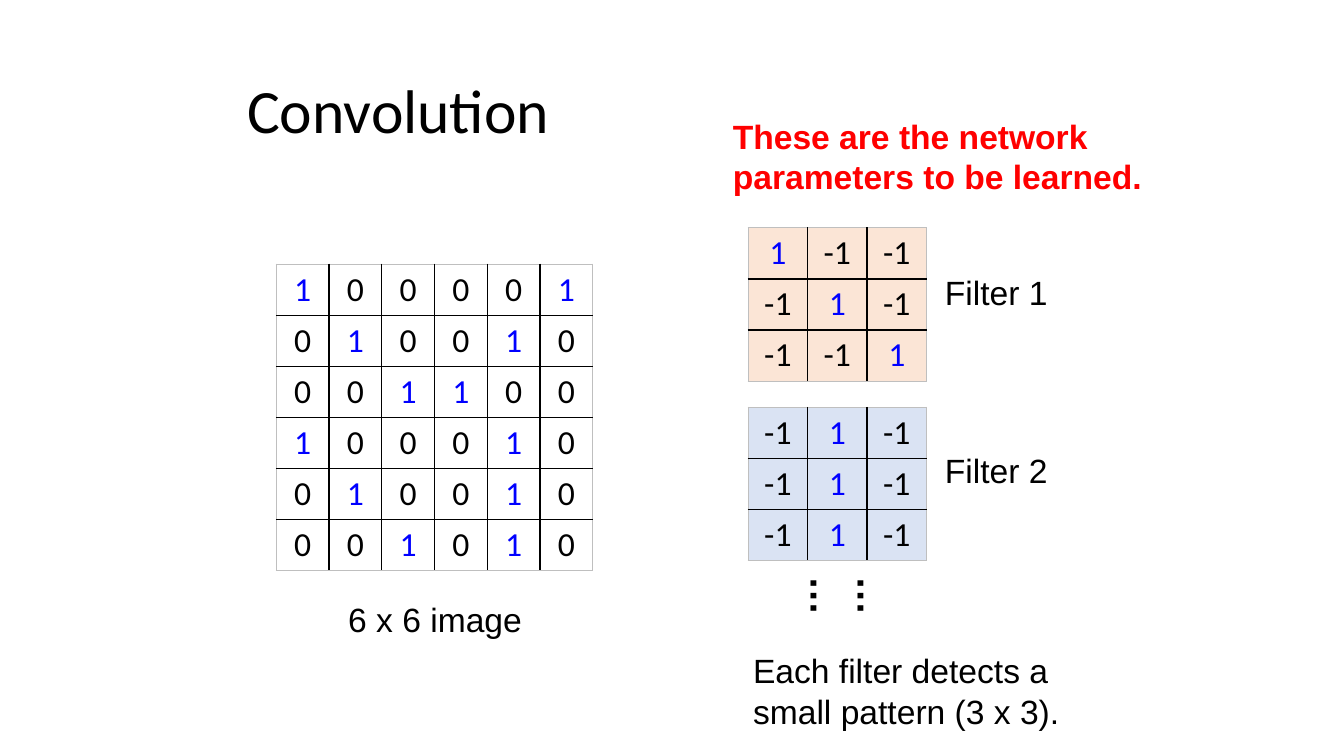
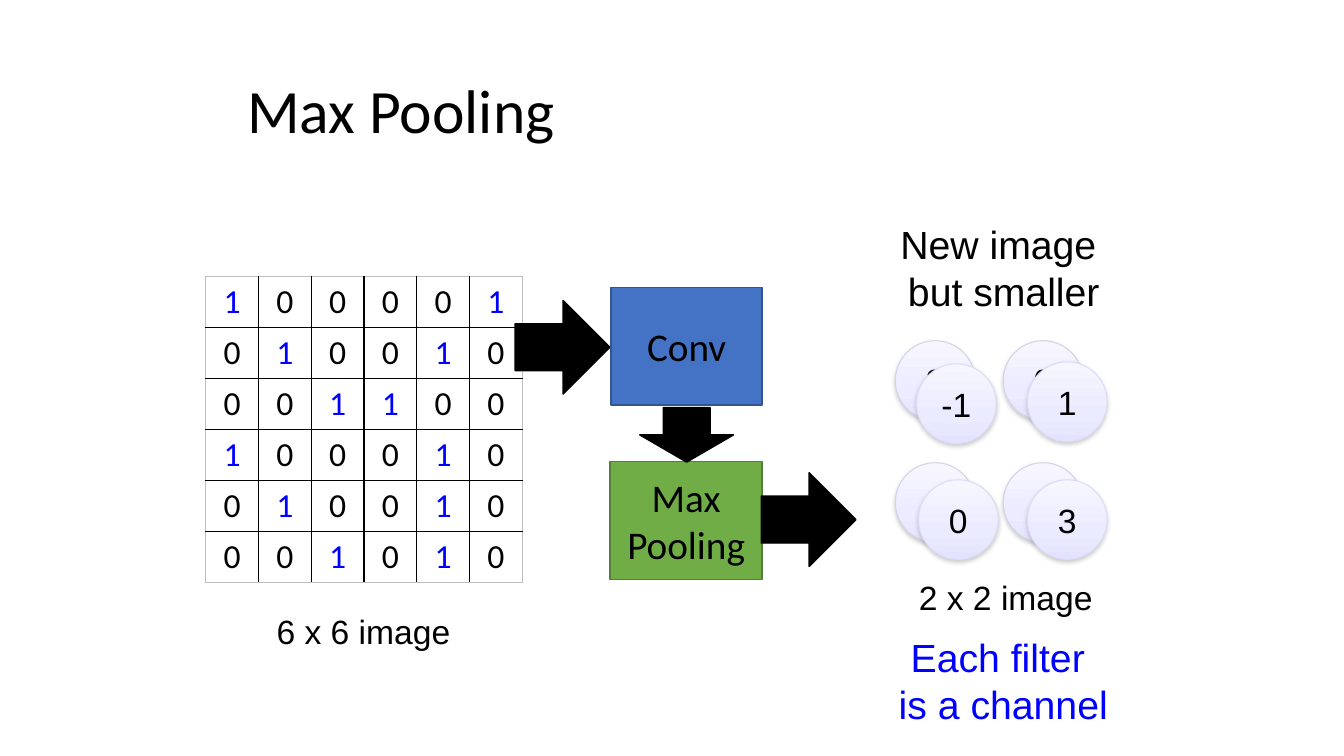
from copy import deepcopy

from lxml import etree
from pptx import Presentation
from pptx.dml.color import RGBColor
from pptx.enum.shapes import MSO_SHAPE
from pptx.enum.text import MSO_ANCHOR, PP_ALIGN
from pptx.oxml import parse_xml
from pptx.oxml.ns import nsdecls, qn
from pptx.util import Inches, Pt

LEFT, CENTER = PP_ALIGN.LEFT, PP_ALIGN.CENTER
MIDDLE = MSO_ANCHOR.MIDDLE
RECTANGLE, OVAL, RIGHT_ARROW = MSO_SHAPE.RECTANGLE, MSO_SHAPE.OVAL, MSO_SHAPE.RIGHT_ARROW
TITLE_ONLY = 5

COLORS = {
    "black": "000000", "blue": "0000FF", "red": "FF0000", "edge": "BFBFBF",
    "peach": "FBE5D6", "sky": "DAE3F3",
    "conv": "4472C4", "conv_line": "325491",
    "pool": "70AD47", "pool_line": "538035",
}
BACK_CIRCLE = (("F7F6FF", "ECEBFF", "E5E3FF"), "D4D3E7")
FRONT_CIRCLE = (("F6F6FF", "EBEBFF", "E3E3FF"), "DCDCFA")
SHADOW = (
    f'<a:effectLst {nsdecls("a")}><a:outerShdw blurRad="39370" dist="20320" dir="5400000" '
    'rotWithShape="0"><a:srgbClr val="808080"><a:alpha val="38000"/></a:srgbClr>'
    "</a:outerShdw></a:effectLst>"
)

IMAGE = ["100001", "010010", "001100", "100010", "010010", "001010"]
IMAGE = [list(row) for row in IMAGE]
DIAGONAL = [["1" if row == column else "-1" for column in range(3)] for row in range(3)]
VERTICAL = [["-1", "1", "-1"]] * 3


def write_text(text_frame, text, size, font="Arial", color="black", bold=False, align=CENTER):
    text_frame.text = text
    text_frame.word_wrap = True
    for paragraph in text_frame.paragraphs:
        paragraph.alignment = align
        for run in paragraph.runs:
            run.font.size = Pt(size)
            run.font.name = font
            run.font.bold = bold
            run.font.color.rgb = RGBColor.from_string(COLORS[color])


def add_grid(slide, values, left, top, width, fill=None):
    count = len(values)
    table = slide.shapes.add_table(
        count, count, Inches(left), Inches(top), Inches(width), Inches(0.5 * count)).table
    table.first_row = False
    table.horz_banding = False
    last = count - 1
    for row, line in enumerate(values):
        for column, value in enumerate(line):
            cell = table.cell(row, column)
            write_text(cell.text_frame, value, 24, "Calibri", "blue" if value == "1" else "black")
            properties = cell._tc.get_or_add_tcPr()
            outer_sides = {"lnL": column == 0, "lnR": column == last,
                           "lnT": row == 0, "lnB": row == last}
            for side, outer in outer_sides.items():
                border = etree.SubElement(properties, qn(f"a:{side}"), w=str(Pt(0.75 if outer else 1)))
                solid = etree.SubElement(border, qn("a:solidFill"))
                etree.SubElement(solid, qn("a:srgbClr"), val=COLORS["edge" if outer else "black"])
            if fill:
                cell.fill.solid()
                cell.fill.fore_color.rgb = RGBColor.from_string(COLORS[fill])
            else:
                cell.fill.background()


presentation = Presentation()
presentation.slide_width = Inches(13.33)
presentation.slide_height = Inches(7.5)

slides = []
for heading in ("Convolution", "Max Pooling"):
    slide = presentation.slides.add_slide(presentation.slide_layouts[TITLE_ONLY])
    title = slide.shapes.title
    title.left, title.top = Inches(2.35), Inches(0.4)
    title.width, title.height = Inches(8.62), Inches(1.45)
    write_text(title.text_frame, heading, 44, "Calibri", align=LEFT)
    title.text_frame.vertical_anchor = MIDDLE
    title.text_frame.paragraphs[0].line_spacing = 0.9
    slides.append(slide)
convolution, pooling = slides

add_grid(convolution, IMAGE, 2.74, 2.62, 3.14)
add_grid(convolution, DIAGONAL, 7.42, 2.26, 1.77, "peach")
add_grid(convolution, VERTICAL, 7.42, 4.04, 1.77, "sky")
add_grid(pooling, IMAGE, 2.04, 2.74, 3.14)

circles = [
    (8.88, 3.38, "3", BACK_CIRCLE), (9.95, 3.38, "0", BACK_CIRCLE),
    (9.95, 4.59, "", BACK_CIRCLE), (8.88, 4.59, "", BACK_CIRCLE),
    (9.09, 3.61, "-1", FRONT_CIRCLE), (10.19, 3.59, "1", FRONT_CIRCLE),
    (10.19, 4.76, "3", FRONT_CIRCLE), (9.11, 4.76, "0", FRONT_CIRCLE),
]
for left, top, value, (gradient, line_color) in circles:
    circle = pooling.shapes.add_shape(OVAL, Inches(left), Inches(top), Inches(0.79), Inches(0.79))
    circle.fill.gradient()
    circle.fill.gradient_angle = 270
    first_stop = circle._element.spPr.find(".//" + qn("a:gs"))
    first_stop.addnext(deepcopy(first_stop))
    for stop, position, color in zip(circle.fill.gradient_stops, (0, 0.65, 1), gradient):
        stop.position = position
        stop.color.rgb = RGBColor.from_string(color)
    circle.line.color.rgb = RGBColor.from_string(line_color)
    circle.line.width = Pt(0.75)
    circle._element.spPr.append(parse_xml(SHADOW))
    if value:
        write_text(circle.text_frame, value, 24)
        circle.text_frame.vertical_anchor = MIDDLE

blocks = [
    (RIGHT_ARROW, 5.11, 2.98, 0.94, 0.93, 0, "black", "black", ""),
    (RECTANGLE, 6.06, 2.85, 1.5, 1.17, 0, "conv", "conv_line", "Conv"),
    (RECTANGLE, 6.05, 4.58, 1.51, 1.17, 0, "pool", "pool_line", "Max\nPooling"),
    (RIGHT_ARROW, 7.55, 4.69, 0.94, 0.93, 0, "black", "black", ""),
    (RIGHT_ARROW, 6.54, 3.85, 0.54, 0.93, 90, "black", "black", ""),
]
for kind, left, top, width, height, rotation, fill, line, text in blocks:
    block = pooling.shapes.add_shape(kind, Inches(left), Inches(top), Inches(width), Inches(height))
    block.rotation = rotation
    block.shadow.inherit = False
    block.fill.solid()
    block.fill.fore_color.rgb = RGBColor.from_string(COLORS[fill])
    block.line.color.rgb = RGBColor.from_string(COLORS[line])
    block.line.width = Pt(1)
    if text:
        write_text(block.text_frame, text, 28, "Calibri")
        block.text_frame.vertical_anchor = MIDDLE

labels = [
    (convolution, 3.03, 5.89, 2.57, 0.5, "6 x 6 image", 24, "black", False, CENTER),
    (convolution, 9.09, 2.65, 1.58, 0.51, "Filter 1", 24, "black", False, CENTER),
    (convolution, 9.09, 4.41, 1.58, 0.51, "Filter 2", 24, "black", False, CENTER),
    (convolution, 7.17, 1.1, 4.33, 0.91, "These are the network parameters to be learned.",
     24, "red", True, LEFT),
    (convolution, 7.37, 6.4, 3.89, 0.91, "Each filter detects a small pattern (3 x 3).",
     24, "black", False, LEFT),
    (pooling, 2.32, 6.01, 2.57, 0.51, "6 x 6 image", 24, "black", False, CENTER),
    (pooling, 8.69, 5.67, 2.57, 0.51, "2 x 2 image", 24, "black", False, CENTER),
    (pooling, 8.71, 6.23, 2.48, 1.05, "Each filter \nis a channel", 28, "blue", False, CENTER),
    (pooling, 8.71, 2.14, 2.49, 1.04, "New image \nbut smaller", 28, "black", False, CENTER),
]
for slide, left, top, width, height, text, size, color, bold, align in labels:
    label = slide.shapes.add_textbox(Inches(left), Inches(top), Inches(width), Inches(height))
    write_text(label.text_frame, text, size, color=color, bold=bold, align=align)

more_filters = convolution.shapes.add_textbox(Inches(8.04), Inches(5.49), Inches(0.77), Inches(1.04))
more_filters.rotation = 90
write_text(more_filters.text_frame, "……", 28, bold=True, align=LEFT)

presentation.save("out.pptx")
